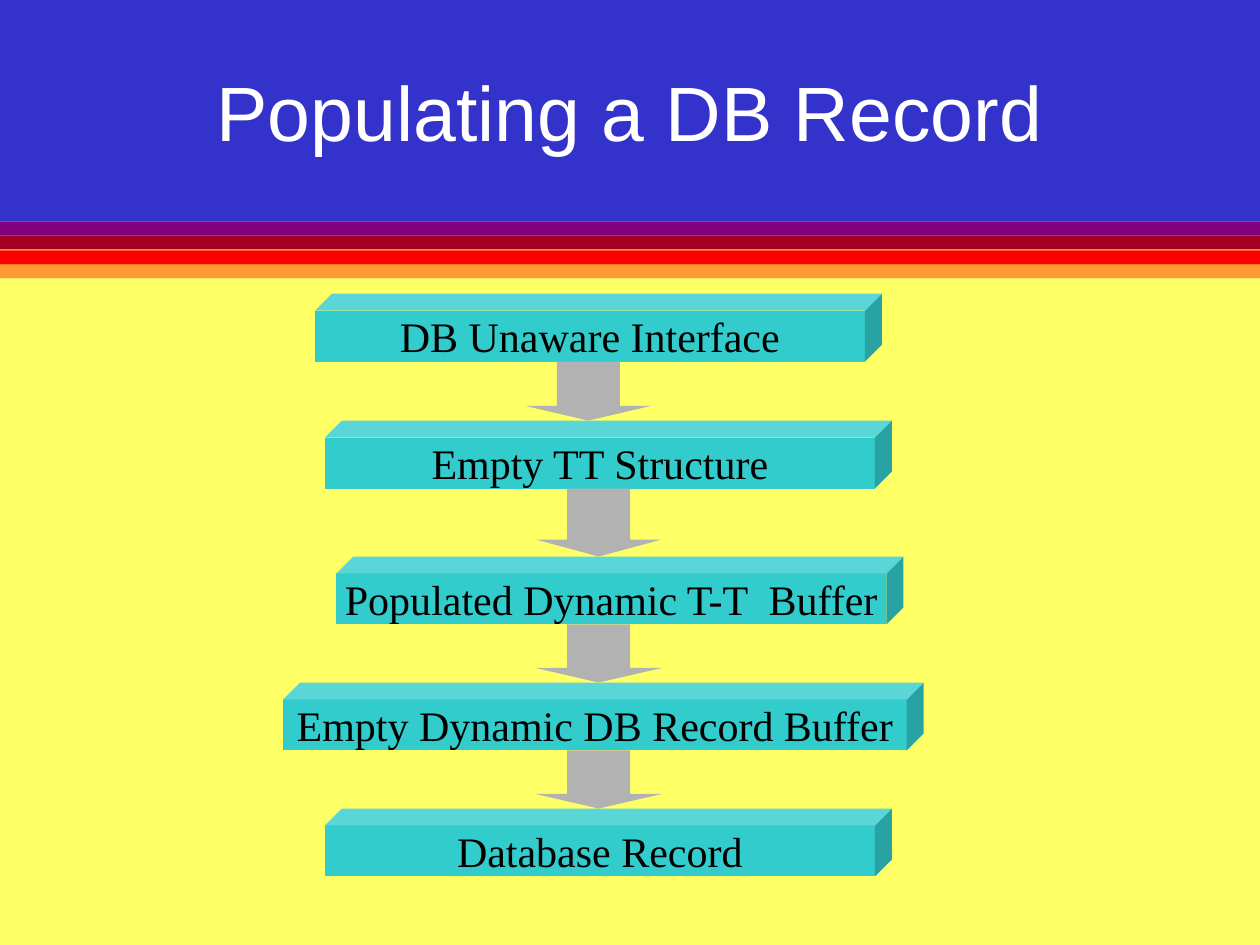
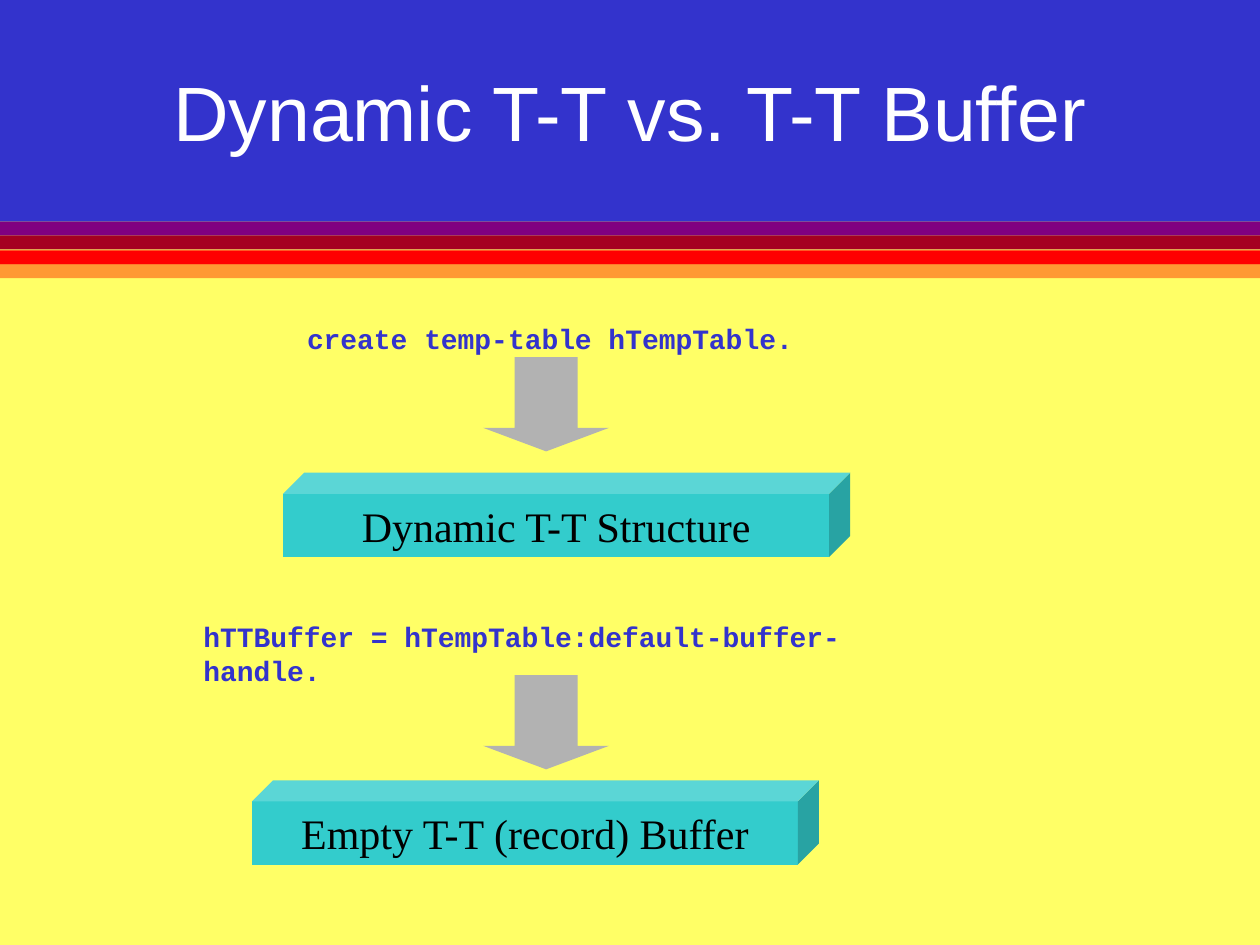
import pptx
import pptx.util
import pptx.dml.color
import pptx.enum.shapes
import pptx.enum.text

Cm = pptx.util.Cm
RGBColor = pptx.dml.color.RGBColor
MSO_SHAPE = pptx.enum.shapes.MSO_SHAPE
PP_ALIGN = pptx.enum.text.PP_ALIGN
MSO_ANCHOR = pptx.enum.text.MSO_ANCHOR

YELLOW = RGBColor(0xFF, 0xFF, 0x66)
BLUE = RGBColor(0x33, 0x33, 0xCC)
PURPLE = RGBColor(0x80, 0x00, 0x80)
CRIMSON = RGBColor(0xA5, 0x00, 0x21)
RED = RGBColor(0xFF, 0x00, 0x00)
ORANGE = RGBColor(0xFF, 0x99, 0x33)
TEAL = RGBColor(0x33, 0xCC, 0xCC)
GRAY = RGBColor(0xB2, 0xB2, 0xB2)
WHITE = RGBColor(0xFF, 0xFF, 0xFF)
BLACK = RGBColor(0x00, 0x00, 0x00)

SLIDE_WIDTH = 25.4
SLIDE_HEIGHT = 19.05
STRIPES = ((5.33, ORANGE), (4.47, PURPLE), (4.75, CRIMSON), (5.05, RED))


class Deck:
    def __init__(self):
        self.presentation = pptx.Presentation()
        self.presentation.slide_width = Cm(SLIDE_WIDTH)
        self.presentation.slide_height = Cm(SLIDE_HEIGHT)
        self.slide = None

    def start_slide(self, title):
        self.slide = self.presentation.slides.add_slide(self.presentation.slide_layouts[6])
        self.block(MSO_SHAPE.RECTANGLE, 0, 3.81, SLIDE_WIDTH, 15.24, YELLOW)
        self.block(MSO_SHAPE.RECTANGLE, 0, 0, SLIDE_WIDTH, 4.47, BLUE)
        for top, color in STRIPES:
            self.block(MSO_SHAPE.RECTANGLE, 0, top, SLIDE_WIDTH, 0.28, color)
        heading = self.block(MSO_SHAPE.RECTANGLE, 1.9, 0.64, 21.6, 3.18, BLUE)
        self.label(heading, title, "Arial", 44, WHITE)

    def block(self, kind, left, top, width, height, color):
        shape = self.slide.shapes.add_shape(kind, Cm(left), Cm(top), Cm(width), Cm(height))
        shape.shadow.inherit = False
        shape.fill.solid()
        shape.fill.fore_color.rgb = color
        shape.line.fill.background()
        return shape

    def label(self, shape, text, font, size, color, wrap=True, align=PP_ALIGN.CENTER, bold=False):
        frame = shape.text_frame
        frame.text = text
        frame.word_wrap = wrap
        frame.vertical_anchor = MSO_ANCHOR.MIDDLE
        paragraph = frame.paragraphs[0]
        paragraph.alignment = align
        for run in paragraph.runs:
            run.font.name = font
            run.font.size = pptx.util.Pt(size)
            run.font.bold = bold
            run.font.color.rgb = color

    def cube(self, text, left, top, width, height):
        shape = self.block(MSO_SHAPE.CUBE, left, top, width, height, TEAL)
        shape.adjustments[0] = 0.25
        self.label(shape, text, "Times New Roman", 24, BLACK, wrap=False)

    def arrow(self, left, top, height):
        shape = self.block(MSO_SHAPE.DOWN_ARROW, left, top, 2.54, height, GRAY)
        shape.adjustments[0] = 0.5
        shape.adjustments[1] = 0.25

    def code(self, text, left, top, width):
        box = self.slide.shapes.add_textbox(Cm(left), Cm(top), Cm(width), Cm(0.94))
        self.label(box, text, "Courier New", 16, BLUE, wrap=False, align=PP_ALIGN.LEFT, bold=True)


def add_populating_slide(deck):
    deck.start_slide("Populating a DB Record")
    stage_height = 1.37
    stages = (
        ("DB Unaware Interface", 6.35, 5.92, 11.43),
        ("Empty TT Structure", 6.55, 8.48, 11.43),
        ("Populated Dynamic T-T  Buffer", 6.78, 11.22, 11.43),
        ("Empty Dynamic DB Record Buffer", 5.71, 13.76, 12.91),
        ("Database Record", 6.55, 16.3, 11.43),
    )
    arrow_lefts = (10.59, 10.8, 10.8, 10.8)
    for text, left, top, width in stages:
        deck.cube(text, left, top, width, stage_height)
    for arrow_left, stage, next_stage in zip(arrow_lefts, stages, stages[1:]):
        bottom = stage[2] + stage_height
        deck.arrow(arrow_left, bottom, next_stage[2] - bottom)


def add_buffer_slide(deck):
    deck.start_slide("Dynamic T-T vs. T-T Buffer")
    steps = (
        ("create temp-table hTempTable.", 5.94, 6.35, 10.31, 7.2,
         "Dynamic T-T Structure", 5.71, 9.53),
        ("hTTBuffer = hTempTable:default-buffer-handle.", 3.85, 12.7, 15.7, 13.61,
         "Empty T-T (record) Buffer", 5.08, 15.73),
    )
    for statement, code_left, code_top, code_width, arrow_top, result, left, top in steps:
        deck.cube(result, left, top, 11.43, 1.7)
        deck.code(statement, code_left, code_top, code_width)
        deck.arrow(9.74, arrow_top, 1.9)


def main():
    deck = Deck()
    add_populating_slide(deck)
    add_buffer_slide(deck)
    deck.presentation.save("out.pptx")


if __name__ == "__main__":
    main()
